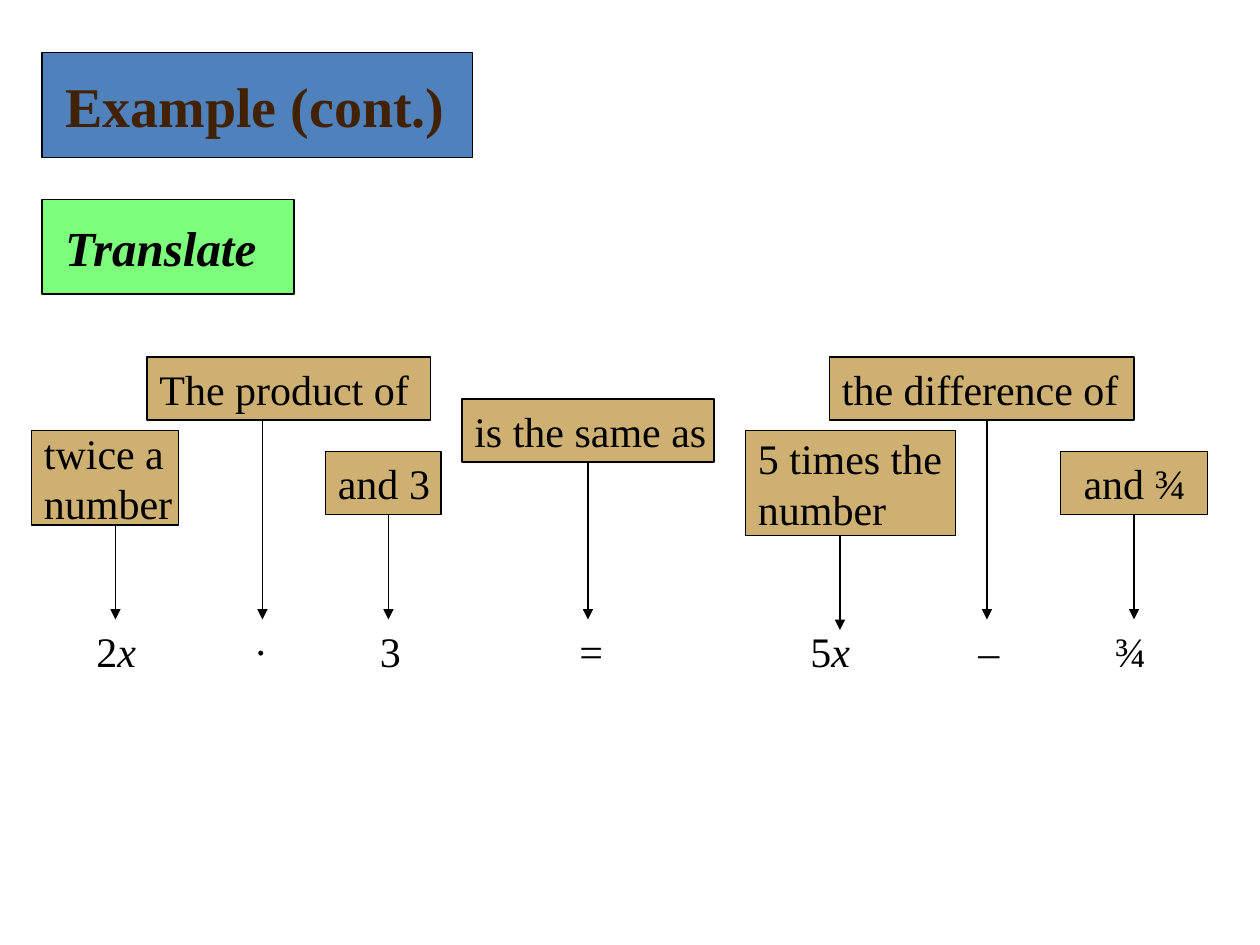
"""Build a slide that translates a sentence into an equation, phrase by phrase."""
from dataclasses import dataclass

import pptx
import pptx.dml.color
import pptx.enum.shapes
import pptx.enum.text
import pptx.oxml
import pptx.oxml.ns
import pptx.util

Pt = pptx.util.Pt
RGB = pptx.dml.color.RGBColor


@dataclass(frozen=True)
class Theme:
    font: str = "Times New Roman"
    ink: RGB = RGB(0x00, 0x00, 0x00)
    brown: RGB = RGB(0x42, 0x21, 0x00)
    blue: RGB = RGB(0x4F, 0x81, 0xBD)
    green: RGB = RGB(0x7D, 0xFF, 0x7D)
    tan: RGB = RGB(0xCF, 0xB0, 0x73)
    title: int = 32
    step: int = 28
    body: int = 24
    line: float = 0.75
    pad: float = 7.2
    wide: float = 13.2


@dataclass(frozen=True)
class Box:
    left: float
    top: float
    width: float
    height: float


@dataclass(frozen=True)
class Run:
    text: str
    bold: bool = False
    slant: bool = False


@dataclass(frozen=True)
class Term:
    phrase: str
    box: Box
    axis: float
    runs: tuple[Run, ...]
    left: float
    width: float
    tip: float = 354
    pad: float = 7.2


THEME = Theme()
ROW = 354
HIGH = 36
TERMS = (
    Term("The product of", Box(84, 204, 162, HIGH), 150, (Run("·"),), 138, 18),
    Term("twice a number", Box(18, 246, 84, 54), 66,
         (Run("2"), Run("x", slant=True)), 48, 42),
    Term("and 3", Box(186, 258, 66, HIGH), 222, (Run("3"),), 210, 24),
    Term("is the same as", Box(264, 228, 144, HIGH), 336, (Run("="),), 324, 30),
    Term("5 times the number", Box(426, 246, 120, 60), 480,
         (Run("5"), Run("x", slant=True)), 456, 42, tip=360),
    Term("and ¾", Box(606, 258, 84, HIGH), 648, (Run("¾"),), 630, 36, pad=THEME.wide),
    Term("the difference of", Box(474, 204, 174, HIGH), 564, (Run("–"),), 552, 24),
)


def place(box: Box) -> tuple:
    """Return the box as four lengths."""
    return Pt(box.left), Pt(box.top), Pt(box.width), Pt(box.height)


def write(shape, runs: tuple[Run, ...], size: int, color: RGB, left: float, right: float) -> None:
    """Fill a shape with left-aligned runs."""
    frame = shape.text_frame
    frame.word_wrap = True
    frame.auto_size = pptx.enum.text.MSO_AUTO_SIZE.NONE
    frame.vertical_anchor = pptx.enum.text.MSO_ANCHOR.MIDDLE
    frame.margin_left, frame.margin_right = Pt(left), Pt(right)
    frame.margin_top = frame.margin_bottom = Pt(0)
    para = frame.paragraphs[0]
    para.alignment = pptx.enum.text.PP_ALIGN.LEFT
    for item in runs:
        run = para.add_run()
        run.text = item.text
        font = run.font
        font.name, font.size = THEME.font, Pt(size)
        font.bold, font.italic = item.bold, item.slant
        font.color.rgb = color


def paint(shape, fill: RGB) -> None:
    """Give a shape its fill and outline."""
    shape.fill.solid()
    shape.fill.fore_color.rgb = fill
    shape.line.color.rgb = THEME.ink
    shape.line.width = Pt(THEME.line)


def panel(slide, box: Box, fill: RGB, run: Run, size: int, pad: float):
    """Add a filled rectangle with text."""
    shape = slide.shapes.add_shape(pptx.enum.shapes.MSO_SHAPE.RECTANGLE, *place(box))
    shape.shadow.inherit = False
    paint(shape, fill)
    write(shape, (run,), size, THEME.ink, pad, 0)
    return shape


def arrow(slide, start, term: Term) -> None:
    """Draw an arrow down from a phrase to its symbol."""
    box = term.box
    axis = Pt(term.axis)
    line = slide.shapes.add_connector(
        pptx.enum.shapes.MSO_CONNECTOR.STRAIGHT,
        axis, Pt(box.top + box.height), axis, Pt(term.tip))
    if term.axis == box.left + box.width / 2:
        line.begin_connect(start, 2)
    line.line.color.rgb = THEME.ink
    line.line.width = Pt(THEME.line)
    space = pptx.oxml.ns.nsdecls("a")
    tail = pptx.oxml.parse_xml(f'<a:tailEnd {space} type="triangle"/>')
    line.line._get_or_add_ln().append(tail)
    line._element.spPr.append(pptx.oxml.parse_xml(f"<a:effectLst {space}/>"))


def draw(slide, term: Term) -> None:
    """Draw a phrase, its symbol and the arrow between them."""
    shape = panel(slide, term.box, THEME.tan, Run(term.phrase), THEME.body, term.pad)
    label = slide.shapes.add_textbox(*place(Box(term.left, ROW, term.width, HIGH)))
    write(label, term.runs, THEME.body, THEME.ink, THEME.pad, THEME.pad)
    arrow(slide, shape, term)


def main() -> None:
    """Build and save the slide."""
    deck = pptx.Presentation()
    deck.slide_width, deck.slide_height = Pt(720), Pt(540)
    slide = deck.slides.add_slide(deck.slide_layouts.get_by_name("Title Only"))
    title = slide.shapes.title
    title.left, title.top, title.width, title.height = place(Box(24, 30, 246, 60))
    paint(title, THEME.blue)
    write(title, (Run("Example (cont.)", bold=True),), THEME.title, THEME.brown, THEME.wide, 0)
    panel(slide, Box(24, 114, 144, 54), THEME.green,
          Run("Translate", bold=True, slant=True), THEME.step, THEME.wide)
    for term in TERMS:
        draw(slide, term)
    deck.save("out.pptx")


if __name__ == "__main__":
    main()
